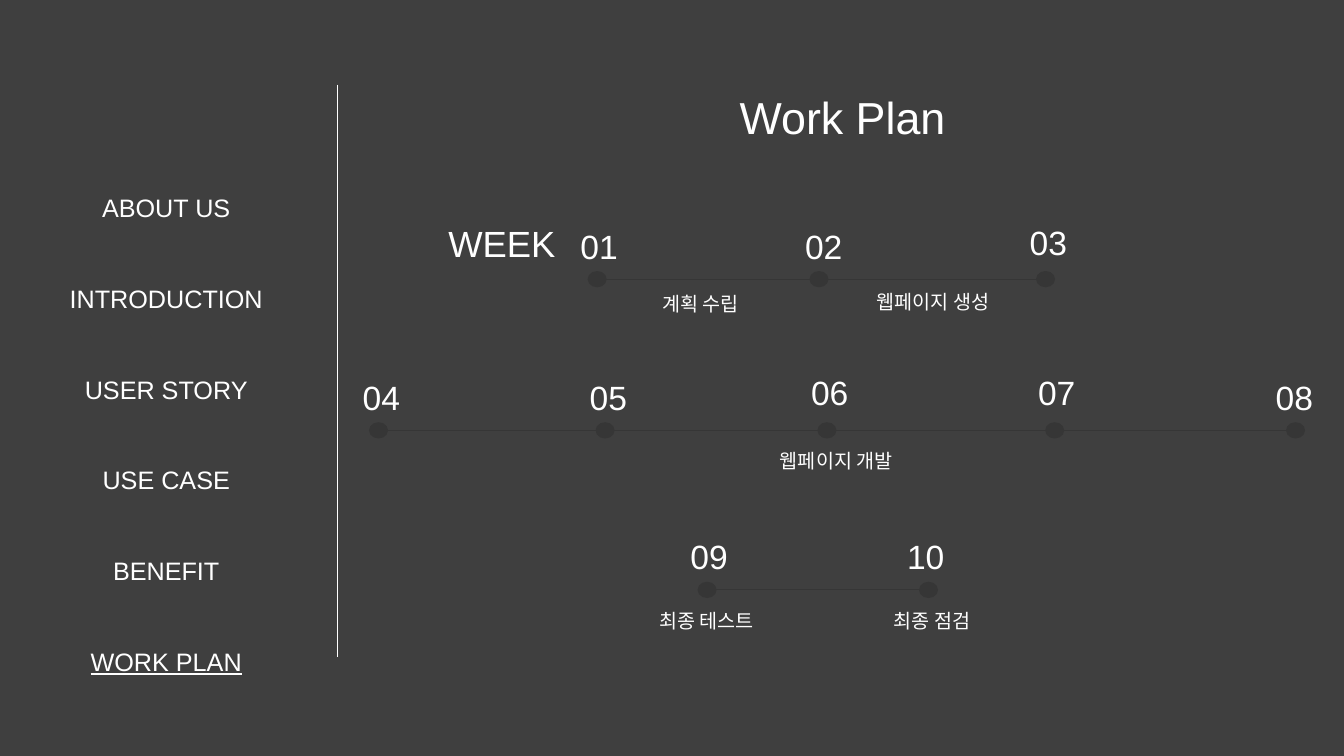
"""Build the dark Work Plan slide with its sidebar menu and weekly timelines."""
from dataclasses import dataclass
from itertools import pairwise

from lxml.etree import SubElement
from pptx import Presentation
from pptx.dml.color import RGBColor
from pptx.enum.shapes import MSO_CONNECTOR as Connector, MSO_SHAPE as Preset
from pptx.enum.text import MSO_ANCHOR as Anchor, MSO_AUTO_SIZE as AutoSize, PP_ALIGN as Align
from pptx.oxml.ns import qn
from pptx.slide import Slide
from pptx.text.text import TextFrame
from pptx.util import Cm, Pt


@dataclass(frozen=True)
class Theme:
    background: RGBColor = RGBColor(0x3F, 0x3F, 0x3F)
    timeline: RGBColor = RGBColor(0x36, 0x36, 0x36)
    text: RGBColor = RGBColor(0xFF, 0xFF, 0xFF)
    font: str = "Arial"
    title_size: float = 32
    heading_size: float = 26
    week_size: float = 24
    menu_size: float = 18
    caption_size: float = 14
    line_width: float = 0.75


@dataclass(frozen=True)
class Week:
    dot_left: float
    label_left: float
    label_top: float


@dataclass(frozen=True)
class Timeline:
    dot_top: float
    weeks: tuple[Week, ...]


@dataclass(frozen=True)
class Caption:
    text: str
    left: float
    top: float
    width: float


THEME = Theme()
DOT_WIDTH, DOT_HEIGHT = 0.48, 0.41
MENU = ("ABOUT US", "INTRODUCTION", "USER STORY", "USE CASE", "BENEFIT", "WORK PLAN")
TIMELINES = (
    Timeline(6.83, (Week(14.81, 14.38, 5.56), Week(20.4, 20.04, 5.56), Week(26.11, 25.7, 5.46))),
    Timeline(10.64, (Week(9.3, 8.89, 9.37), Week(15.01, 14.61, 9.37), Week(20.6, 20.19, 9.25),
                     Week(26.34, 25.91, 9.25), Week(32.41, 31.9, 9.37))),
    Timeline(14.66, (Week(17.58, 17.15, 13.39), Week(23.16, 22.61, 13.39))),
)
CAPTIONS = (
    Caption("계획 수립", 15.95, 7.24, 2.92),
    Caption("웹페이지 생성", 21.13, 7.19, 4.06),
    Caption("웹페이지 개발", 18.69, 11.2, 4.06),
    Caption("최종 테스트", 15.67, 15.21, 3.58),
    Caption("최종 점검", 21.79, 15.21, 2.92),
)


def write_text(frame: TextFrame, text: str, *, size: float, align: Align = Align.LEFT,
               line_spacing: float = 1.0, underlined: str = "") -> None:
    """Fill a frame with one plain paragraph per line of text."""
    frame.word_wrap = True
    frame.auto_size = AutoSize.NONE
    frame.vertical_anchor = Anchor.TOP
    for index, line in enumerate(text.split("\n")):
        paragraph = frame.add_paragraph() if index else frame.paragraphs[0]
        properties = paragraph._p.get_or_add_pPr()
        properties.set("marL", "0")
        properties.set("indent", "0")
        SubElement(properties, qn("a:buNone"))
        paragraph.alignment = align
        paragraph.line_spacing = line_spacing
        paragraph.space_before = Pt(0)
        run = paragraph.add_run()
        run.text = line
        run.font.name = THEME.font
        run.font.size = Pt(size)
        run.font.color.rgb = THEME.text
        if line == underlined:
            run.font.underline = True


def place(shape, left: float, top: float, width: float, height: float) -> TextFrame:
    """Move a placeholder and return its text frame."""
    shape.left, shape.top = Cm(left), Cm(top)
    shape.width, shape.height = Cm(width), Cm(height)
    return shape.text_frame


def add_label(slide: Slide, left: float, top: float, width: float, height: float) -> TextFrame:
    """Add a text box and return its text frame."""
    return slide.shapes.add_textbox(Cm(left), Cm(top), Cm(width), Cm(height)).text_frame


def add_line(slide: Slide, start: tuple[float, float], end: tuple[float, float],
             color: RGBColor) -> None:
    """Draw a thin straight line without a shadow."""
    line = slide.shapes.add_connector(Connector.STRAIGHT, *map(Cm, start + end))
    line.line.color.rgb = color
    line.line.width = Pt(THEME.line_width)
    SubElement(line._element.spPr, qn("a:effectLst"))


def add_dot(slide: Slide, left: float, top: float) -> None:
    """Draw one week marker."""
    dot = slide.shapes.add_shape(Preset.OVAL, Cm(left), Cm(top), Cm(DOT_WIDTH), Cm(DOT_HEIGHT))
    dot.shadow.inherit = False
    dot.fill.solid()
    dot.fill.fore_color.rgb = THEME.timeline
    dot.line.fill.background()


def add_timeline(slide: Slide, timeline: Timeline, first_week: int) -> None:
    """Draw a row of linked markers with numbered weeks."""
    middle = timeline.dot_top + DOT_HEIGHT / 2
    for week, following in pairwise(timeline.weeks):
        add_line(slide, (week.dot_left, middle), (following.dot_left, middle), THEME.timeline)
    for number, week in enumerate(timeline.weeks, first_week):
        add_dot(slide, week.dot_left, timeline.dot_top)
        frame = add_label(slide, week.label_left, week.label_top, 1.75, 1.63)
        write_text(frame, f"{number:02}", size=THEME.week_size)


def main() -> None:
    """Build and save the presentation."""
    presentation = Presentation()
    presentation.slide_width, presentation.slide_height = Cm(33.87), Cm(19.05)
    slide = presentation.slides.add_slide(presentation.slide_layouts[1])
    slide.background.fill.solid()
    slide.background.fill.fore_color.rgb = THEME.background

    title, menu = slide.placeholders
    write_text(place(title, 8.61, 2.13, 25.25, 1.63), "Work Plan",
               size=THEME.title_size, align=Align.CENTER)
    write_text(place(menu, 0, 3.2, 8.38, 11.38), "\n".join(MENU), size=THEME.menu_size,
               align=Align.CENTER, line_spacing=3.0, underlined=MENU[-1])
    add_line(slide, (8.51, 2.13), (8.51, 16.56), THEME.text)

    write_text(add_label(slide, 11.05, 5.46, 3.3, 1.04), "WEEK", size=THEME.heading_size)
    first_week = 1
    for timeline in TIMELINES:
        add_timeline(slide, timeline, first_week)
        first_week += len(timeline.weeks)
    for caption in CAPTIONS:
        frame = add_label(slide, caption.left, caption.top, caption.width, 0.94)
        write_text(frame, caption.text, size=THEME.caption_size, align=Align.RIGHT)

    presentation.save("out.pptx")


if __name__ == "__main__":
    main()
